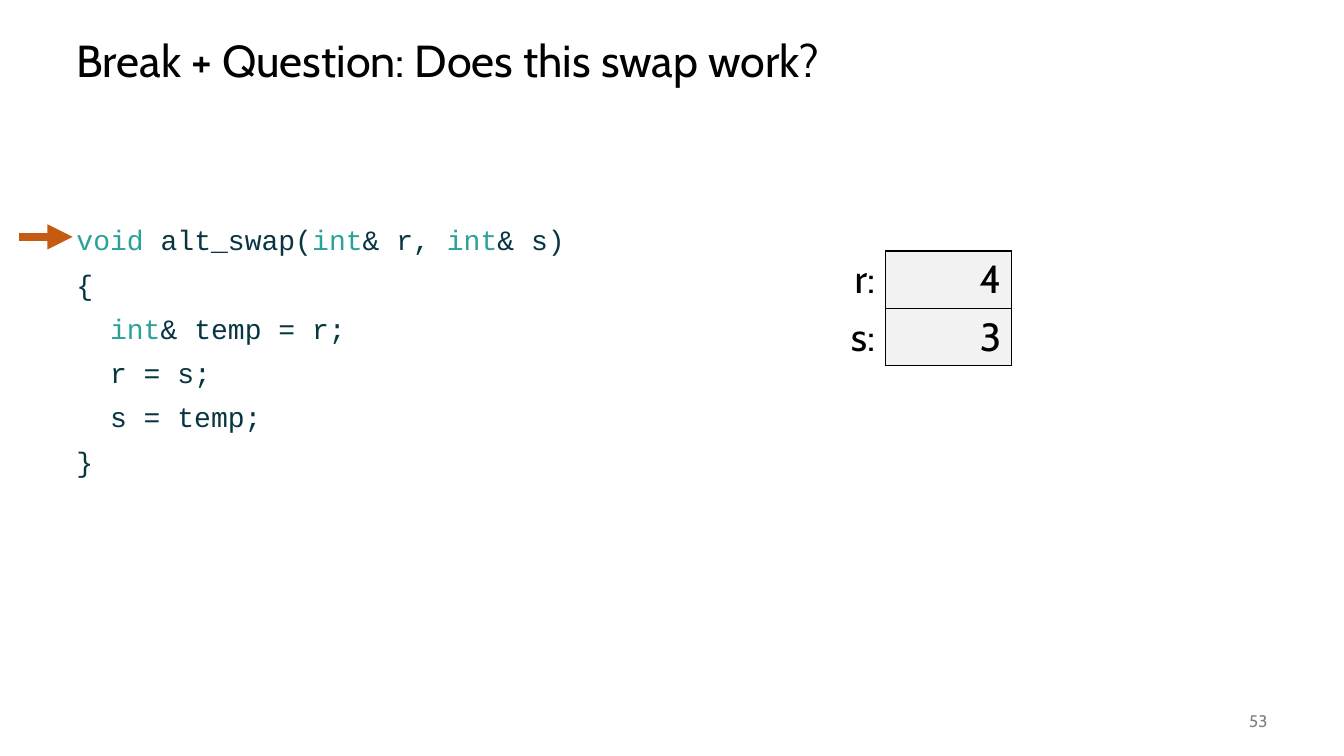
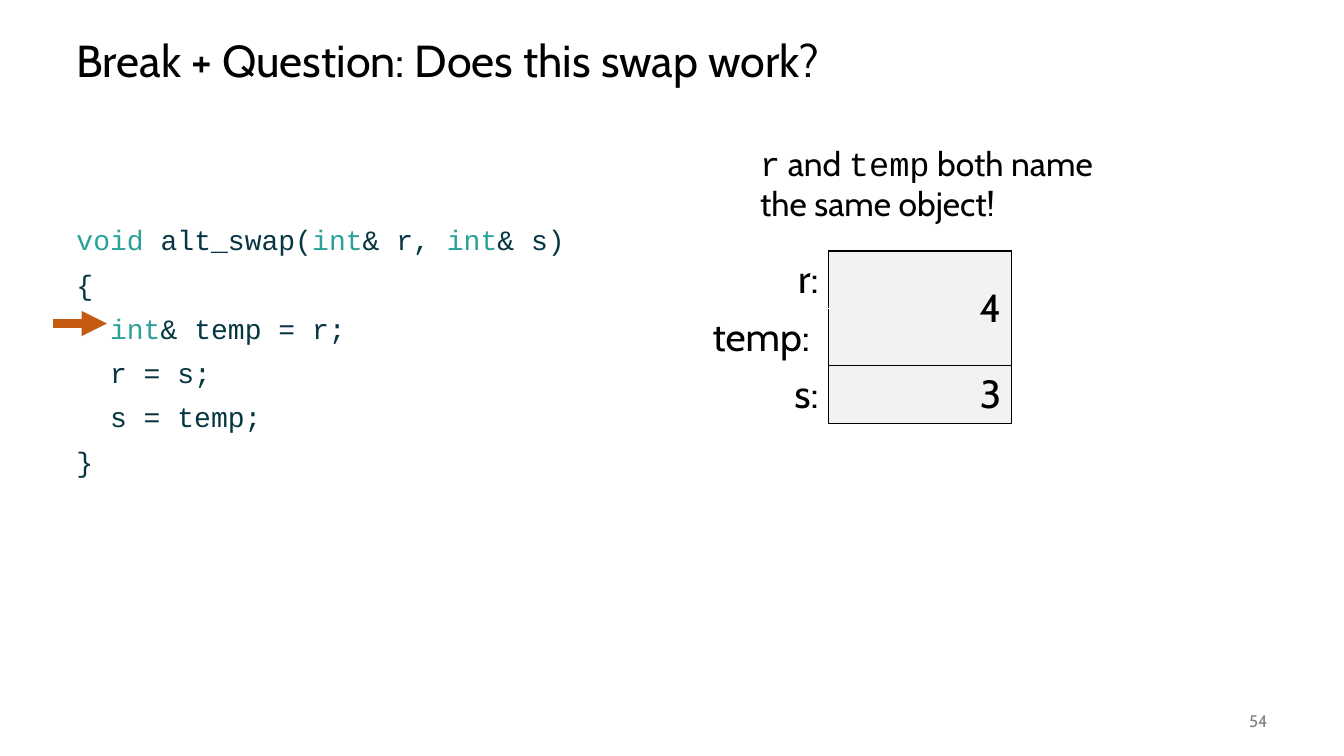
from lxml import etree
from pptx import Presentation
from pptx.dml.color import RGBColor
from pptx.enum import shapes, text
from pptx.oxml import parse_xml
from pptx.oxml.ns import nsdecls, qn
from pptx.util import Inches, Pt

# Shared look
rgb = RGBColor.from_string
SANS, MONO = "Cabin", "Courier New"
BLACK, GREY, CELL = "000000", "808080", "F2F2F2"
KEYWORD, CODE, ARROW = "2AA299", "073642", "C55A11"
RIGHT, MIDDLE = text.PP_ALIGN.RIGHT, text.MSO_ANCHOR.MIDDLE
TITLE = "Break + Question: Does this swap work?"

# Code lines as (text, colour) spans
CODE_LINES = [
    [("void ", KEYWORD), ("alt_swap(", CODE), ("int", KEYWORD), ("& r, ", CODE),
     ("int", KEYWORD), ("& s)", CODE)],
    [("{", CODE)],
    [("  int", KEYWORD), ("& temp = r;", CODE)],
    [("  r = s;", CODE)],
    [("  s = temp;", CODE)],
    [("}", CODE)],
]
CODE_TOP, LINE_STEP, CHAR_WIDTH = 2.35, 0.43, 0.17
ROW_HEIGHT, TABLE_TOP, TABLE_RIGHT = 0.57, 2.49, 10.03

# What differs: labels, values as (first row, last row, text), arrow, note
PAGES = [
    {"number": "53", "labels": ["r:", "s:"], "column": 1.25,
     "values": [(0, 0, "4"), (1, 1, "3")], "line": 0, "indent": 0, "note": []},
    {"number": "54", "labels": ["r:", "temp: ", "s:"], "column": 1.81,
     "values": [(0, 1, "4"), (2, 2, "3")], "line": 2, "indent": 2,
     "note": [("r", MONO), (" and ", SANS), ("temp", MONO),
              (" both name the same object!", SANS)]},
]


def write(para, spans, size, **layout):
    """Fill a paragraph with (text, font, colour) spans."""
    for name, value in layout.items():
        setattr(para, name, value)
    for words, font, colour in spans:
        span = para.add_run()
        span.text = words
        for name, value in {"name": font, "size": Pt(size)}.items():
            setattr(span.font, name, value)
        span.font.color.rgb = rgb(colour)


def add_frame(page, left, top, width, height, anchor=text.MSO_ANCHOR.TOP):
    box = page.shapes.add_textbox(*map(Inches, (left, top, width, height)))
    frame = box.text_frame
    for name, value in {"word_wrap": True, "vertical_anchor": anchor}.items():
        setattr(frame, name, value)
    return frame


deck = Presentation()
deck.slide_width, deck.slide_height = Inches(13.33), Inches(7.5)

for details in PAGES:
    page = deck.slides.add_slide(deck.slide_layouts[6])

    # Title and page number
    frame = add_frame(page, 0.66, 0.25, 12, 0.75, MIDDLE)
    write(frame.paragraphs[0], [(TITLE, SANS, BLACK)], 32, line_spacing=0.9)
    frame = add_frame(page, 11.67, 6.95, 1, 0.4, MIDDLE)
    write(frame.paragraphs[0], [(details["number"], SANS, GREY)], 12, alignment=RIGHT)

    # Code
    frame = add_frame(page, 0.66, 2.2, 5.75, 2.7)
    for index, line in enumerate(CODE_LINES):
        para = frame.add_paragraph() if index else frame.paragraphs[0]
        write(para, [(words, MONO, colour) for words, colour in line], 20,
              line_spacing=0.9, space_before=Pt(10 if index else 0))

    # Memory table
    labels, column = details["labels"], details["column"]
    table = page.shapes.add_table(
        len(labels), 2, Inches(TABLE_RIGHT - 2 * column), Inches(TABLE_TOP),
        Inches(2 * column), Inches(ROW_HEIGHT * len(labels))).table
    table.first_row = table.horz_banding = False
    for row, label in enumerate(labels):
        write(table.cell(row, 0).text_frame.paragraphs[0], [(label, SANS, BLACK)], 28,
              alignment=RIGHT)
    for first, last, value in details["values"]:
        cell = table.cell(first, 1)
        if last > first:
            cell.merge(table.cell(last, 1))
            cell.vertical_anchor = MIDDLE
        write(cell.text_frame.paragraphs[0], [(value, SANS, BLACK)], 28, alignment=RIGHT)

    # Cell borders and fills
    for row in range(len(labels)):
        for col, sides in enumerate((["R"], ["L", "R", "T", "B"])):
            cell = table.cell(row, col)
            properties = cell._tc.get_or_add_tcPr()
            for side in sides:
                properties.append(parse_xml(
                    f'<a:ln{side} {nsdecls("a")} w="12700"><a:solidFill>'
                    f'<a:srgbClr val="{BLACK}"/></a:solidFill></a:ln{side}>'))
            if col:
                cell.fill.solid()
                cell.fill.fore_color.rgb = rgb(CELL)
            else:
                cell.fill.background()

    # Arrow at the current line
    left = 0.19 + CHAR_WIDTH * details["indent"]
    height = Inches(CODE_TOP + LINE_STEP * details["line"])
    arrow = page.shapes.add_connector(
        shapes.MSO_CONNECTOR.STRAIGHT, Inches(left), height, Inches(left + 0.53), height)
    arrow.line.color.rgb = rgb(ARROW)
    arrow.line.width = Pt(6)
    etree.SubElement(arrow.line._get_or_add_ln(), qn("a:tailEnd"), type="triangle")
    etree.SubElement(arrow._element.spPr, qn("a:effectLst"))

    # Note
    if details["note"]:
        frame = add_frame(page, 7.44, 1.37, 3.62, 0.91)
        write(frame.paragraphs[0],
              [(words, font, BLACK) for words, font in details["note"]], 24)

deck.save("out.pptx")
